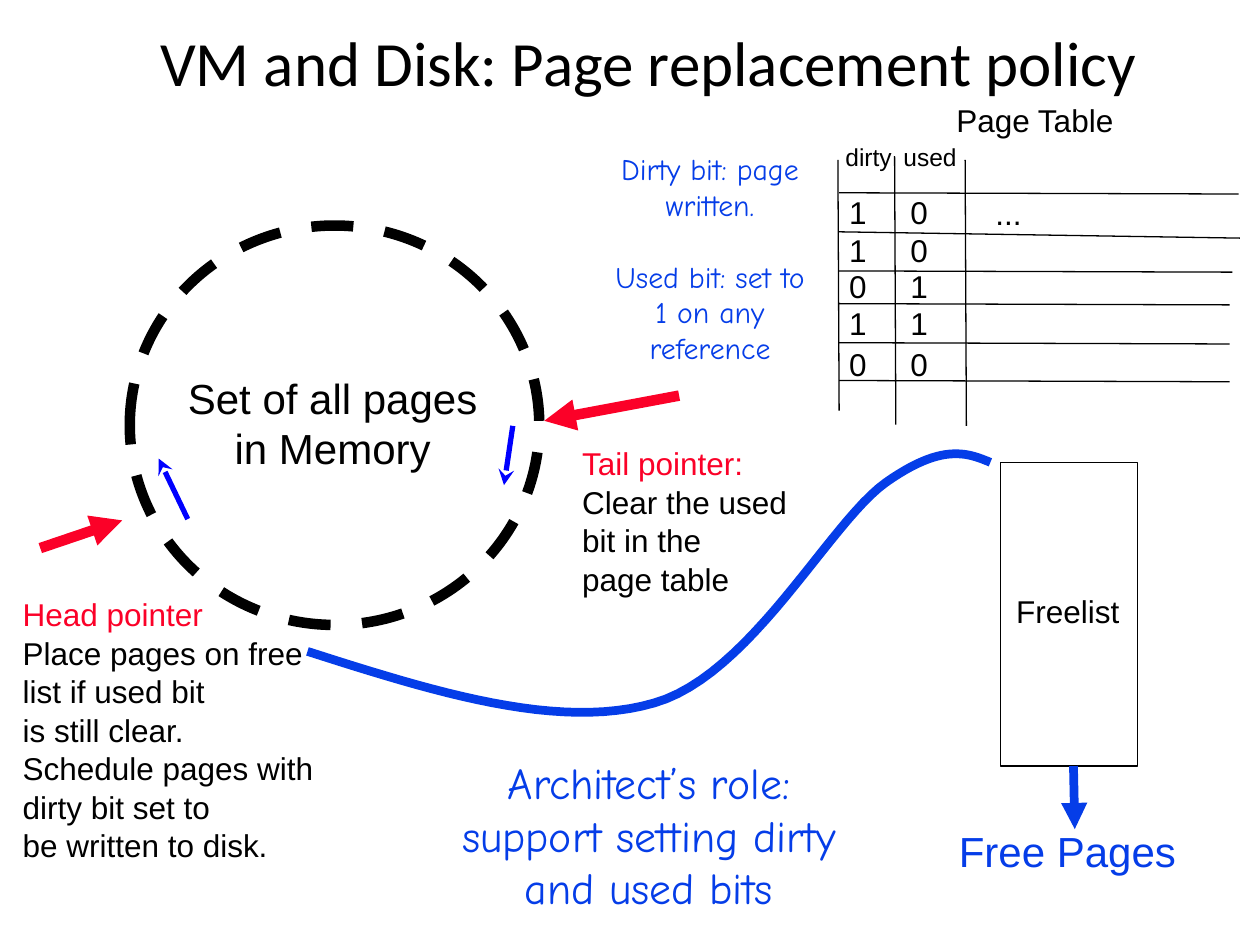
"""Builds a slide on the page replacement policy of virtual memory."""
import pptx
import pptx.dml.color
import pptx.enum.dml
import pptx.enum.shapes
import pptx.enum.text
import pptx.oxml
import pptx.oxml.ns
import pptx.util

BLACK, RED, BLUE, ARROW_BLUE = "000000", "FB0128", "053DE8", "0000FF"
CENTER = pptx.enum.text.PP_ALIGN.CENTER
LEFT = pptx.enum.text.PP_ALIGN.LEFT
COLUMNS, ROWS = 100, 75


def color(value):
    return pptx.dml.color.RGBColor.from_string(value)


def add_element(parent, tag, **attributes):
    element = pptx.oxml.parse_xml(f"<{tag} {pptx.oxml.ns.nsdecls('a')}/>")
    for name, value in attributes.items():
        element.set(name, str(value))
    parent.append(element)
    return element


def bezier(start, first, second, end, steps=24):
    for step in range(1, steps + 1):
        t = step / steps
        weights = ((1 - t) ** 3, 3 * t * (1 - t) ** 2, 3 * t ** 2 * (1 - t), t ** 3)
        yield tuple(sum(w * point[axis] for w, point in zip(weights, (start, first, second, end)))
                    for axis in (0, 1))


class Painter:
    def __init__(self, deck):
        self.width, self.height = deck.slide_width, deck.slide_height
        self.page = deck.slides.add_slide(deck.slide_layouts[5])
        self.shapes = self.page.shapes

    def place(self, column, row):
        return round(self.width * column / COLUMNS), round(self.height * row / ROWS)

    def title(self, words, at, size):
        box = self.shapes.title
        box.left, box.top = self.place(*at[:2])
        box.width, box.height = self.place(*at[2:])
        frame = box.text_frame
        frame.text = words
        frame.vertical_anchor = pptx.enum.text.MSO_ANCHOR.MIDDLE
        self.format(frame.paragraphs[0], size, BLACK, "Calibri", CENTER)

    def format(self, para, size, ink, font, align):
        para.alignment = align
        para.font.size = pptx.util.Pt(size)
        para.font.name = font
        para.font.color.rgb = color(ink)

    def text(self, lines, at, size=18, ink=BLACK, font="Arial", align=LEFT,
             spacing=None, heading=None, gaps=None, tab=None):
        box = self.shapes.add_textbox(*self.place(*at[:2]), *self.place(*at[2:]))
        frame = box.text_frame
        frame.word_wrap = True
        frame.margin_left = frame.margin_right = frame.margin_top = frame.margin_bottom = 0
        for index, line in enumerate(lines):
            para = frame.paragraphs[0] if index == 0 else frame.add_paragraph()
            para.text = line
            if spacing:
                para.line_spacing = pptx.util.Pt(spacing)
            if gaps and index in gaps:
                para.space_before = pptx.util.Pt(gaps[index])
            if tab:
                stops = add_element(para._p.get_or_add_pPr(), "a:tabLst")
                add_element(stops, "a:tab", pos=self.place(tab, 0)[0], algn="l")
            self.format(para, size, heading if heading and index == 0 else ink, font, align)

    def line(self, start, end, ink=BLACK, weight=0.75, head=None):
        connector = self.shapes.add_connector(
            pptx.enum.shapes.MSO_CONNECTOR.STRAIGHT, *self.place(*start), *self.place(*end))
        self.stroke(connector, ink, weight)
        if head:
            add_element(connector.line._get_or_add_ln(), "a:tailEnd", type=head)
        add_element(connector._element.spPr, "a:effectLst")

    def stroke(self, shape, ink, weight):
        shape.line.color.rgb = color(ink)
        shape.line.width = pptx.util.Pt(weight)

    def outline(self, shape, ink, weight):
        shape.shadow.inherit = False
        shape.fill.background()
        self.stroke(shape, ink, weight)
        return shape

    def preset(self, kind, at, weight):
        shape = self.shapes.add_shape(kind, *self.place(*at[:2]), *self.place(*at[2:]))
        return self.outline(shape, BLACK, weight)

    def curve(self, start, segments, ink, weight):
        builder = self.shapes.build_freeform(*self.place(*start))
        for segment in segments:
            points = [self.place(*point) for point in bezier(start, *segment)]
            builder.add_line_segments(points, close=False)
            start = segment[-1]
        self.outline(builder.convert_to_shape(), ink, weight)


def draw_page_table(painter):
    rules = ((15.3, 15.4, 98.3), (18.4, 18.9, 98.4), (21.5, 21.6, 97.8),
             (24.1, 24.2, 97.6), (27.2, 27.3, 97.6), (30.2, 30.3, 97.6))
    for start_row, end_row, end_column in rules:
        painter.line((66.6, start_row), (end_column, end_row))
    for column, top, bottom in ((66.5, 12.7, 32.6), (71, 12.4, 33.7), (76.6, 12.7, 33.8)):
        painter.line((column, top), (column + 0.1, bottom))
    painter.text(["Page Table"], (75.9, 8.4, 14.4, 3.1), spacing=19)
    for label, column in (("dirty", 67.1), ("used", 71.7)):
        painter.text([label], (column, 11.5, 6, 2.2), size=14, spacing=15)
    for bits, row in (("1\t0", 15.8), ("1\t0", 18.8), ("0\t1", 21.7), ("1\t1", 24.6), ("0\t0", 27.9)):
        painter.text([bits], (67.4, row, 8.7, 2.8), spacing=18, tab=4.85)
    painter.text(["..."], (79, 15.9, 3.6, 2.8), spacing=18)


def draw_memory_ring(painter):
    ring = painter.preset(pptx.enum.shapes.MSO_SHAPE.OVAL, (10.3, 17.9, 32.5, 31.7), 6)
    ring.line.dash_style = pptx.enum.dml.MSO_LINE.DASH
    painter.text(["Set of all pages", "in Memory"], (14.2, 29.5, 24.4, 7.5),
                 size=24, align=CENTER, spacing=29)
    painter.line((53.9, 31.4), (43.2, 33.4), RED, 6, "triangle")
    painter.line((3.2, 43.5), (9.7, 41.3), RED, 6, "triangle")
    painter.line((40.7, 33.8), (40, 38.5), ARROW_BLUE, 3, "stealth")
    painter.line((14.9, 41.2), (12.6, 36.4), ARROW_BLUE, 3, "stealth")
    painter.text(["Tail pointer:", "Clear the used", "bit in the", "page table"],
                 (46.2, 35.2, 19.9, 10.8), spacing=22, heading=RED)
    painter.text(["Head pointer", "Place pages on free list if used bit", "is still clear.",
                  "Schedule pages with dirty bit set to", "be written to disk."],
                 (1.8, 47.2, 24.7, 21.8), spacing=22, heading=RED)


def draw_freelist(painter):
    painter.preset(pptx.enum.shapes.MSO_SHAPE.RECTANGLE, (79.4, 36.7, 10.9, 24.1), 0.75)
    painter.text(["Freelist"], (79.9, 46.9, 9.7, 2.9), align=CENTER, spacing=22)
    painter.curve((24.4, 51.7), (((34.4, 54.9), (44.3, 58), (51.9, 55.8)),
                                 ((59.6, 53.6), (65.8, 41.5), (70.3, 38.3)),
                                 ((74.7, 35.2), (76.7, 35.9), (78.6, 36.7))), BLUE, 5)
    painter.line((85.2, 60.8), (85.3, 65.8), BLUE, 5, "triangle")
    painter.text(["Free Pages"], (76.1, 65.5, 18.8, 3.9), size=24, ink=BLUE, spacing=29)


def draw_notes(painter):
    style = {"ink": BLUE, "font": "Comic Neue", "align": CENTER}
    painter.text(["Dirty bit: page written.", "Used bit: set to", "1 on any reference"],
                 (46.9, 12, 18.9, 17), size=17, gaps={1: 20.5}, **style)
    painter.text(["Architect’s role: support setting dirty and used bits"],
                 (34.3, 60, 34.4, 12.1), size=25, **style)


def main():
    deck = pptx.Presentation()
    deck.slide_width, deck.slide_height = pptx.util.Inches(10), pptx.util.Inches(7.5)
    painter = Painter(deck)
    painter.title("VM and Disk: Page replacement policy", (5.7, 0.4, 91.5, 8.9), 36)
    draw_page_table(painter)
    draw_memory_ring(painter)
    draw_freelist(painter)
    draw_notes(painter)
    deck.save("out.pptx")


if __name__ == "__main__":
    main()
